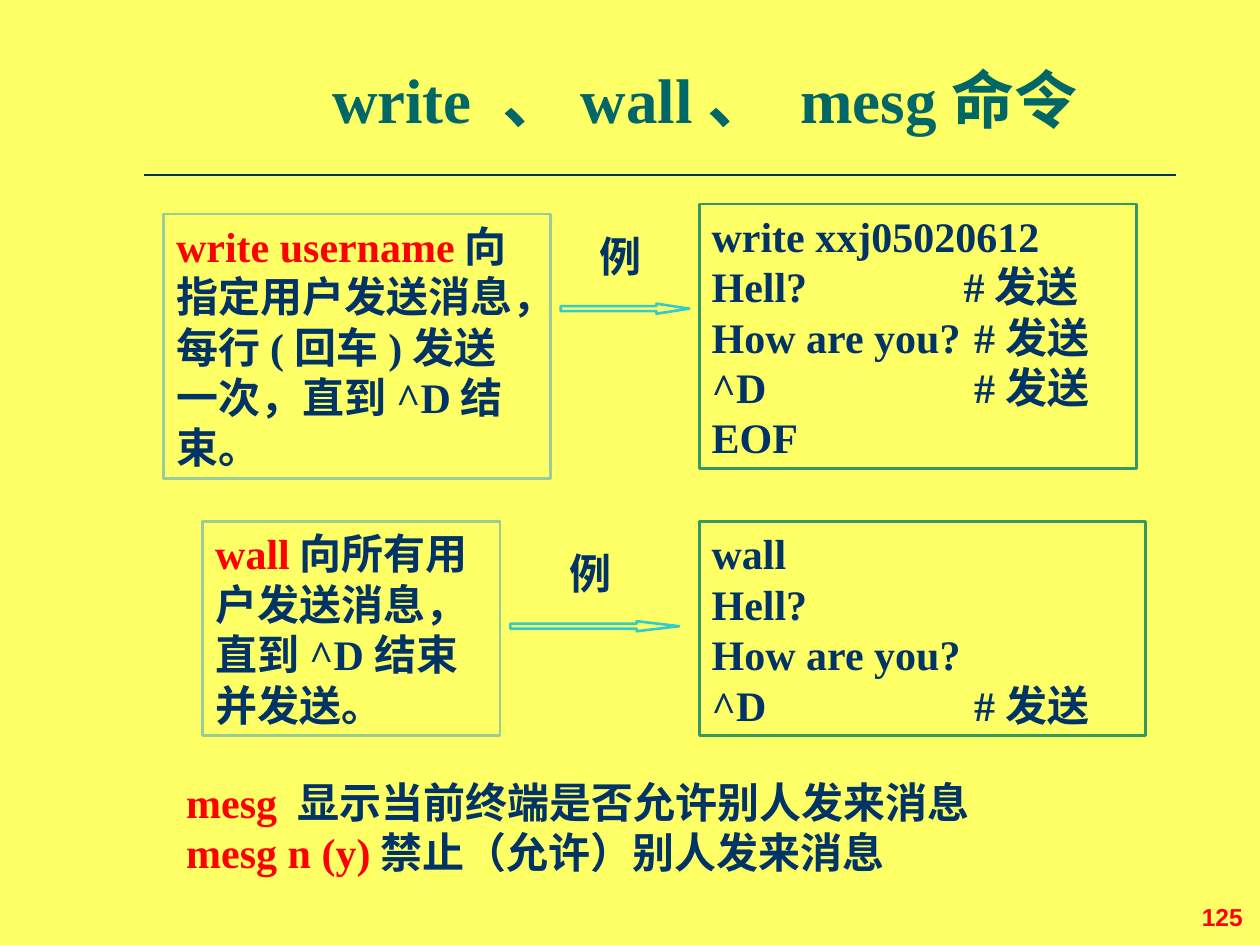
from lxml.etree import SubElement
from pptx import Presentation
from pptx.dml.color import RGBColor
from pptx.enum.shapes import MSO_CONNECTOR as Connector, MSO_SHAPE as Shape
from pptx.enum.text import MSO_ANCHOR as Anchor, MSO_AUTO_SIZE as AutoSize, PP_ALIGN as Align
from pptx.oxml.ns import qn
from pptx.util import Inches, Pt

COLORS = {
    "page": "FFFF66",
    "title": "006666",
    "ink": "003366",
    "command": "FF0000",
    "usage": "99CC99",
    "example": "339966",
    "arrow": "33CCCC",
}
COLUMNS, ROWS = 100, 75
TITLE_ONLY = 5


class Lesson:
    """Holds the style and the current page; lengths are grid columns and rows."""

    font, size, line_width = "Times New Roman", 24, 1.5

    def __init__(self, deck):
        self.cell_width = deck.slide_width / COLUMNS
        self.cell_height = deck.slide_height / ROWS
        self.page = deck.slides.add_slide(deck.slide_layouts[TITLE_ONLY])
        fill = self.page.background.fill
        fill.solid()
        fill.fore_color.rgb = self.color("page")

    def color(self, name):
        return RGBColor.from_string(COLORS[name])

    def grid(self, *lengths):
        """Turn alternating columns and rows into slide lengths."""
        cells = (self.cell_width, self.cell_height)
        return [round(length * cells[i % 2]) for i, length in enumerate(lengths)]

    def fill_text(self, box, paragraphs, align=Align.LEFT, anchor=Anchor.TOP, size=None, font=None):
        """Fill a box with paragraphs, each a list of (text, color name) spans."""
        frame = box.text_frame
        frame.word_wrap = True
        frame.auto_size = AutoSize.NONE
        frame.vertical_anchor = anchor
        for number, spans in enumerate(paragraphs):
            para = frame.add_paragraph() if number else frame.paragraphs[0]
            para.alignment = align
            para.space_before = Pt(0)
            self.add_tabs(para)
            for text, color in spans:
                span = para.add_run()
                span.text = text
                span.font.name = font or self.font
                span.font.size = Pt(size or self.size)
                span.font.bold = True
                span.font.color.rgb = self.color(color)

    def add_tabs(self, para):
        """Set a left tab stop at every inch."""
        tabs = SubElement(para._p.get_or_add_pPr(), qn("a:tabLst"))
        for inch in range(8):
            SubElement(tabs, qn("a:tab"), pos=str(Inches(inch)), algn="l")

    def outline(self, shape, color):
        shape.line.color.rgb = self.color(color)
        shape.line.width = Pt(self.line_width)

    def title(self, area, text):
        box = self.page.shapes.title
        box.left, box.top, box.width, box.height = self.grid(*area)
        self.fill_text(box, [[(text, "title")]], Align.CENTER, Anchor.BOTTOM, size=36)
        box.text_frame.paragraphs[0].line_spacing = 0.9

    def text(self, area, paragraphs, **style):
        self.fill_text(self.page.shapes.add_textbox(*self.grid(*area)), paragraphs, **style)

    def shape(self, kind, area, color):
        shape = self.page.shapes.add_shape(kind, *self.grid(*area))
        shape.shadow.inherit = False
        shape.fill.background()
        self.outline(shape, color)
        return shape

    def frame(self, area, color, paragraphs):
        self.fill_text(self.shape(Shape.RECTANGLE, area, color), paragraphs)

    def arrow(self, area, head):
        """Draw a thin block arrow; head is its length over the arrow's height."""
        arrow = self.shape(Shape.RIGHT_ARROW, area, "arrow")
        arrow.adjustments[0] = 0.5
        arrow.adjustments[1] = head

    def rule(self, ends):
        line = self.page.shapes.add_connector(Connector.STRAIGHT, *self.grid(*ends))
        self.outline(line, "ink")
        SubElement(line._element.spPr, qn("a:effectLst"))


def plain(*lines):
    return [[(line, "ink")] for line in lines]


def command(name, meaning):
    return [(name, "command"), (meaning, "ink")]


def main():
    deck = Presentation()
    deck.slide_width, deck.slide_height = Inches(10), Inches(7.5)
    lesson = Lesson(deck)

    lesson.text((94.4, 71, 6.4, 3.4), [[("125", "command")]],
                anchor=Anchor.BOTTOM, size=14, font="Arial")
    lesson.title((12.4, 4.3, 87.1, 7.1), "write 、wall、 mesg命令")
    lesson.rule((11.4, 13.9, 93.3, 13.9))

    lesson.frame((13, 17, 30.7, 21), "usage", [
        command("write username", "向指定用户发送消息，每行(回车)发送一次，直到^D结束。")])
    lesson.frame((55.5, 16.2, 34.7, 21), "example", plain(
        "write xxj05020612", "Hell?\t\t#发送", "How are you?\t #发送", "^D\t\t #发送EOF"))
    lesson.frame((16.1, 41.4, 23.6, 17), "usage", [
        command("wall", "向所有用户发送消息，直到^D结束并发送。")])
    lesson.frame((55.5, 41.4, 35.4, 17), "example", plain(
        "wall", "Hell?", "How are you?", "^D\t\t #发送"))

    lesson.text((13.8, 61.1, 74, 9), [
        command("mesg ", "显示当前终端是否允许别人发来消息"),
        command("mesg n (y)", "禁止（允许）别人发来消息")])

    lesson.arrow((44.5, 24.1, 10.2, 0.8), head=3.26)
    lesson.arrow((40.5, 49.3, 13.4, 0.8), head=4.21)
    for left, top in ((45.3, 17.8), (42.9, 43)):
        lesson.text((left, top, 7.9, 5), plain("例"), align=Align.CENTER)

    deck.save("out.pptx")


if __name__ == "__main__":
    main()
